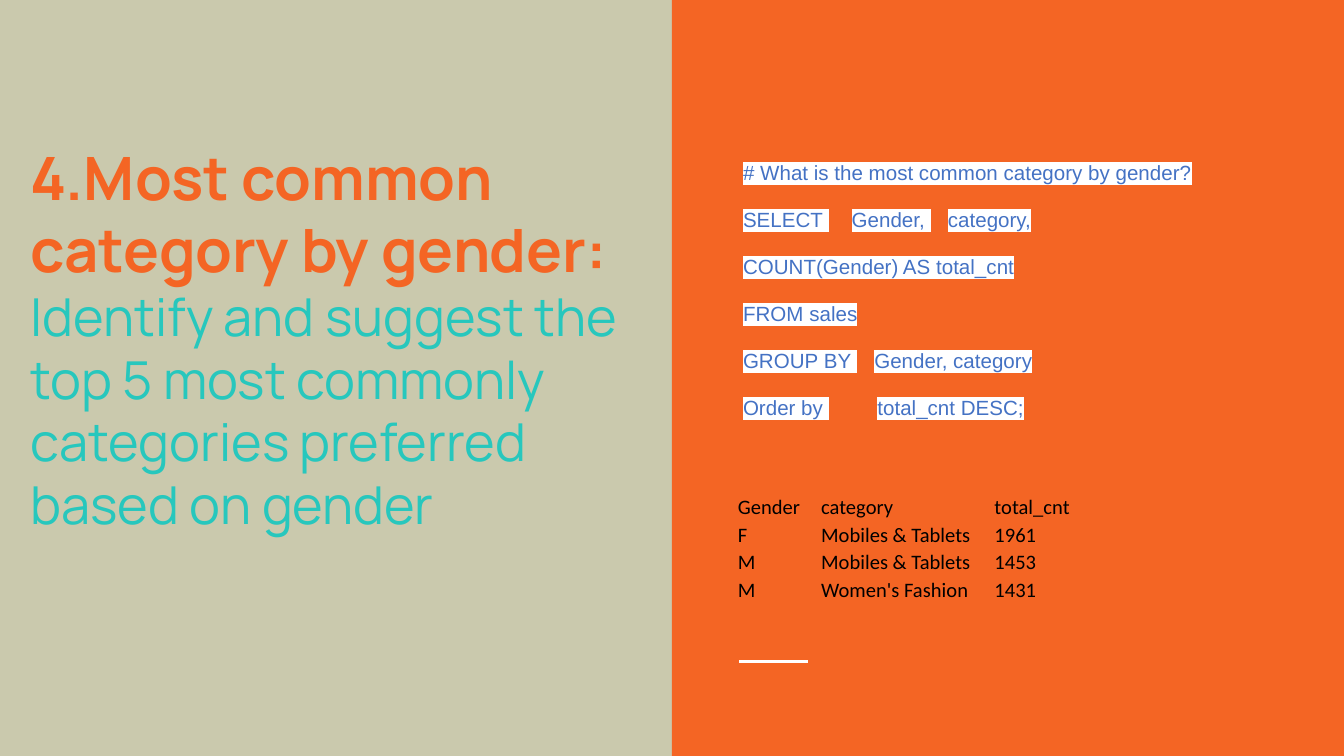
from lxml import etree
from pptx import Presentation
from pptx import util as u
from pptx.dml.color import RGBColor
from pptx.enum import shapes, text
from pptx.oxml.ns import qn

COLORS = {
    "sand": "CAC9AD",
    "orange": "F46524",
    "teal": "27C7BD",
    "blue": "4472C4",
    "white": "FFFFFF",
    "black": "000000",
}
PAGE_WIDTH = 10
PAGE_HEIGHT = PAGE_WIDTH * 9 / 16
HEADING = "4.Most common category by gender:"
SUBHEADING = "Identify and suggest the top 5 most commonly categories preferred based on gender"
# Each query line is a list of words; the number between two words widens the space, in points.
QUERY = [
    ["# What is the most common category by gender?"],
    ["SELECT", 12.2, "Gender,", 9.2, "category,"],
    ["COUNT(Gender) AS total_cnt"],
    ["FROM sales"],
    ["GROUP BY", 9.2, "Gender, category"],
    ["Order by \ttotal_cnt DESC;"],
]
RESULT = [
    ["Gender", "category", "total_cnt"],
    ["F", "Mobiles & Tablets", "1961"],
    ["M", "Mobiles & Tablets", "1453"],
    ["M", "Women's Fashion", "1431"],
]
COLUMN_WIDTHS = [0.62, 1.29, 1.7]


def rgb(name):
    return RGBColor.from_string(COLORS[name])


def add_span(para, words, font, size, color, bold=False, highlight=None, spacing=None):
    span = para.add_run()
    span.text = words
    span.font.name = font
    span.font.size = u.Pt(size)
    span.font.bold = bold
    span.font.color.rgb = rgb(color)
    properties = span.font._element
    if highlight:
        mark = etree.Element(qn("a:highlight"))
        etree.SubElement(mark, qn("a:srgbClr"), val=COLORS[highlight])
        properties.find(qn("a:solidFill")).addnext(mark)
    if spacing:
        properties.set("spc", str(round(spacing * 100)))


def set_margins(holder, left, top, right, bottom):
    holder.margin_left, holder.margin_top = u.Inches(left), u.Inches(top)
    holder.margin_right, holder.margin_bottom = u.Inches(right), u.Inches(bottom)


def add_text_frame(page, left, top, width, height, bottom_margin=0.1):
    box = page.shapes.add_textbox(*map(u.Inches, (left, top, width, height)))
    frame = box.text_frame
    frame.word_wrap = True
    set_margins(frame, 0.1, 0.1, 0.1, bottom_margin)
    return frame


def add_panel(page, left, top, width, height):
    """Draw the orange half with its short white rule."""
    panel = page.shapes.add_shape(
        shapes.MSO_SHAPE.RECTANGLE, *map(u.Inches, (left, top, width, height))
    )
    panel.shadow.inherit = False
    panel.fill.solid()
    panel.fill.fore_color.rgb = rgb("orange")
    panel.line.fill.background()

    start, level = left + 0.5, top + 4.92
    rule = page.shapes.add_connector(
        shapes.MSO_CONNECTOR.STRAIGHT, *map(u.Inches, (start, level, start + 0.51, level))
    )
    rule.line.color.rgb = rgb("white")
    rule.line.width = u.Pt(1.5)
    etree.SubElement(rule._element.spPr, qn("a:effectLst"))


def add_title(page, left, top, width, height):
    frame = add_text_frame(page, left, top, width, height, bottom_margin=0.69)
    frame.vertical_anchor = text.MSO_ANCHOR.MIDDLE
    add_span(frame.paragraphs[0], HEADING, "Manrope", 32, "orange", bold=True)
    add_span(frame.add_paragraph(), SUBHEADING, "Manrope", 28, "teal")


def add_query(page, left, top, width, height):
    frame = add_text_frame(page, left, top, width, height)
    for index, line in enumerate(QUERY):
        para = frame.add_paragraph() if index else frame.paragraphs[0]
        para.space_before = u.Pt(12)
        para._p.get_or_add_pPr().set("marL", str(u.Inches(0.25)))
        for part in line:
            is_gap = not isinstance(part, str)
            add_span(para, " " if is_gap else part, "Arial", 11, "blue",
                     highlight="white", spacing=part if is_gap else None)


def add_result(page, left, top, width, height):
    table = page.shapes.add_table(
        len(RESULT), len(COLUMN_WIDTHS), *map(u.Inches, (left, top, width, height))
    ).table
    table.first_row = table.horz_banding = False
    for column, column_width in zip(table.columns, COLUMN_WIDTHS):
        column.width = u.Inches(column_width)
    for row, values in zip(table.rows, RESULT):
        row.height = u.Inches(height / len(RESULT))
        for cell, value in zip(row.cells, values):
            cell.fill.background()
            cell.vertical_anchor = text.MSO_ANCHOR.BOTTOM
            set_margins(cell, 0.01, 0.01, 0.01, 0)
            add_span(cell.text_frame.paragraphs[0], value, "Calibri", 11, "black")
    # The "No Style, No Grid" table style draws no borders.
    style = table._tbl.tblPr.find(qn("a:tableStyleId"))
    style.text = "{2D5ABB26-0587-4C30-8999-92F81FD0307C}"


def main():
    deck = Presentation()
    deck.slide_width, deck.slide_height = u.Inches(PAGE_WIDTH), u.Inches(PAGE_HEIGHT)
    page = deck.slides.add_slide(deck.slide_layouts[6])
    page.background.fill.solid()
    page.background.fill.fore_color.rgb = rgb("sand")

    half = PAGE_WIDTH / 2
    add_panel(page, half, 0, half, PAGE_HEIGHT)
    add_title(page, 0.13, 2.09, 4.87, 1.44)
    add_query(page, half + 0.18, 1.09, 4.82, 3.26)
    add_result(page, half + 0.48, 3.66, sum(COLUMN_WIDTHS), 0.83)
    deck.save("out.pptx")


if __name__ == "__main__":
    main()
